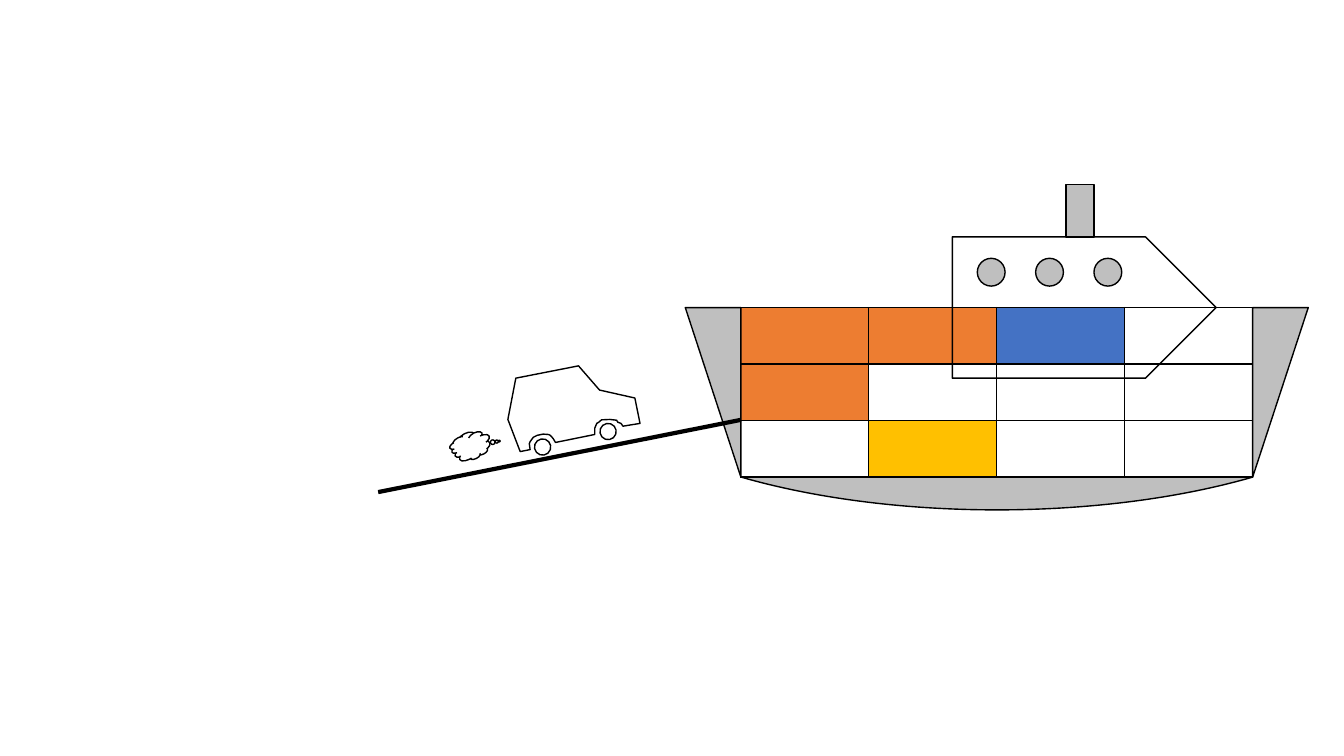
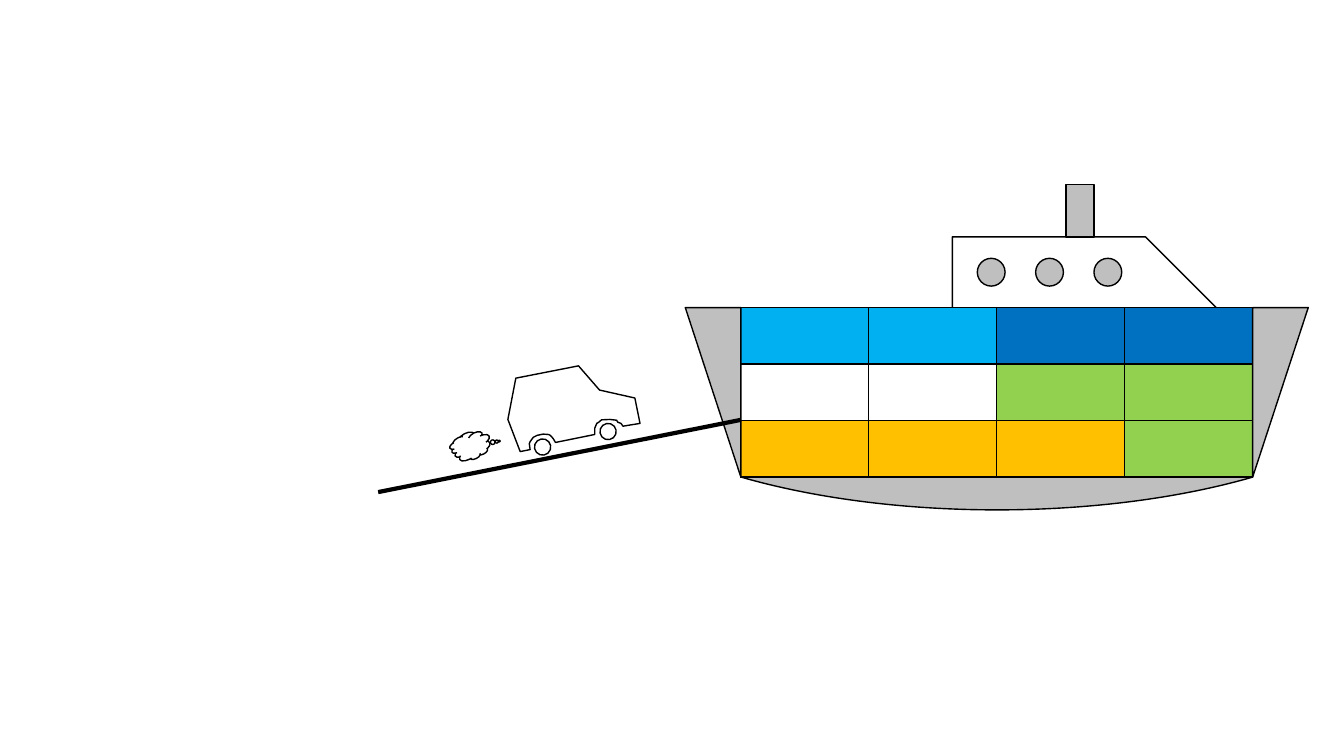
from lxml import etree
from pptx import Presentation
from pptx.dml.color import RGBColor
from pptx.enum.shapes import MSO_CONNECTOR, MSO_SHAPE
from pptx.oxml.ns import qn
from pptx.util import Cm, Pt

STRAIGHT = MSO_CONNECTOR.STRAIGHT
ELLIPSE = MSO_SHAPE.OVAL
RECTANGLE = MSO_SHAPE.RECTANGLE
PENTAGON = MSO_SHAPE.PENTAGON
TRIANGLE = MSO_SHAPE.RIGHT_TRIANGLE
CHORD = MSO_SHAPE.CHORD
CLOUD = MSO_SHAPE.CLOUD_CALLOUT

BLACK = RGBColor(0x00, 0x00, 0x00)
WHITE = RGBColor(0xFF, 0xFF, 0xFF)
GREY = RGBColor(0xBF, 0xBF, 0xBF)
ORANGE = RGBColor(0xED, 0x7D, 0x31)
BLUE = RGBColor(0x44, 0x72, 0xC4)
GOLD = RGBColor(0xFF, 0xC0, 0x00)
SKY = RGBColor(0x00, 0xB0, 0xF0)
DEEP_BLUE = RGBColor(0x00, 0x70, 0xC0)
GREEN = RGBColor(0x92, 0xD0, 0x50)

SLIDES = [
    {
        "cabin_behind": False,
        "cargo": [
            [ORANGE, ORANGE, BLUE, WHITE],
            [ORANGE, WHITE, WHITE, WHITE],
            [WHITE, GOLD, WHITE, WHITE],
        ],
    },
    {
        "cabin_behind": True,
        "cargo": [
            [SKY, SKY, DEEP_BLUE, DEEP_BLUE],
            [WHITE, WHITE, GREEN, GREEN],
            [GOLD, GOLD, GOLD, GREEN],
        ],
    },
]

HOLD_LEFT, HOLD_TOP, HOLD_WIDTH, HOLD_HEIGHT = 18.67, 7.75, 12.9, 4.27
BOW_WIDTH = 1.4
CABIN = (24, 5.97, 6.65, 3.56)
KEEL = (14.43, 4.67, 21.39, 8.18)
KEEL_ANGLES = (16.111, 91.842)
FUNNEL = (26.87, 4.65, 0.7, 1.32)
PORTHOLE_LEFT, PORTHOLE_TOP, PORTHOLE_SIZE, PORTHOLE_STEP = 24.63, 6.51, 0.7, 1.47
PORTHOLE_COUNT = 3

REAR_ARCH = [
    (13.36, 11.33), (13.34, 11.18), (13.36, 11.13), (13.44, 11.02), (13.54, 10.97),
    (13.69, 10.94), (13.82, 10.95), (13.87, 10.97), (13.94, 11.05), (14, 11.15),
]
FRONT_ARCH = [
    (14.99, 10.95), (14.99, 10.79), (15.04, 10.67), (15.09, 10.64), (15.16, 10.58),
    (15.37, 10.57), (15.54, 10.59), (15.57, 10.64), (15.65, 10.67), (15.7, 10.74),
]
BODY = [(16.13, 10.67), (16, 10.03), (15.11, 9.83), (14.58, 9.22), (13, 9.53), (12.8, 10.57)]
CAR_OUTLINE = [(13.11, 11.38)] + REAR_ARCH + FRONT_ARCH + BODY
WHEELS = [(13.47, 11.06), (15.12, 10.67)]
WHEEL_SIZE = 0.41
CAR_TILT = 349.1
RAMP = (18.67, 10.58, 9.53, 12.4)
SMOKE = (11.53, 10.72, 0.69, 1.02)
SMOKE_TAIL = (-0.323, 0.67)
SMOKE_TILT = 242.7


def style(shape, fill=None):
    shape.shadow.inherit = False
    if fill is None:
        shape.fill.background()
    else:
        shape.fill.solid()
        shape.fill.fore_color.rgb = fill
    shape.line.color.rgb = BLACK
    shape.line.width = Pt(1)


def add_part(shapes, preset, place, fill=None, tilt=0, adjustments=()):
    shape = shapes.add_shape(preset, *map(Cm, place))
    for index, value in enumerate(adjustments):
        shape.adjustments[index] = value
    shape.rotation = tilt
    style(shape, fill)
    return shape


def add_borders(cell):
    properties = cell._tc.get_or_add_tcPr()
    for side in ("a:lnL", "a:lnR", "a:lnT", "a:lnB"):
        border = etree.SubElement(properties, qn(side), w=str(Pt(1)))
        fill = etree.SubElement(border, qn("a:solidFill"))
        etree.SubElement(fill, qn("a:srgbClr"), val=str(BLACK))


def add_hold(slide, cargo):
    place = map(Cm, (HOLD_LEFT, HOLD_TOP, HOLD_WIDTH, HOLD_HEIGHT))
    table = slide.shapes.add_table(len(cargo), len(cargo[0]), *place).table
    table.first_row = False
    table.horz_banding = False
    for row, colors in enumerate(cargo):
        for column, color in enumerate(colors):
            cell = table.cell(row, column)
            add_borders(cell)
            cell.fill.solid()
            cell.fill.fore_color.rgb = color


def add_cabin(shapes):
    add_part(shapes, PENTAGON, CABIN)


def add_fittings(shapes):
    for index in range(PORTHOLE_COUNT):
        left = PORTHOLE_LEFT + index * PORTHOLE_STEP
        add_part(shapes, ELLIPSE, (left, PORTHOLE_TOP, PORTHOLE_SIZE, PORTHOLE_SIZE), GREY)
    for left in (HOLD_LEFT - BOW_WIDTH, HOLD_LEFT + HOLD_WIDTH):
        end = add_part(shapes, TRIANGLE, (left, HOLD_TOP, BOW_WIDTH, HOLD_HEIGHT), GREY, 180)
        if left > HOLD_LEFT:
            end._element.spPr.find(qn("a:xfrm")).set("flipH", "1")
    add_part(shapes, CHORD, KEEL, GREY, adjustments=KEEL_ANGLES)
    add_part(shapes, RECTANGLE, FUNNEL, GREY)


def add_car(shapes):
    points = [(Cm(x), Cm(y)) for x, y in CAR_OUTLINE]
    builder = shapes.build_freeform(*points[0])
    builder.add_line_segments(points[1:], close=True)
    style(builder.convert_to_shape())
    for left, top in WHEELS:
        add_part(shapes, ELLIPSE, (left, top, WHEEL_SIZE, WHEEL_SIZE), tilt=CAR_TILT)
    ramp = shapes.add_connector(STRAIGHT, *map(Cm, RAMP))
    ramp.line.color.rgb = BLACK
    ramp.line.width = Pt(3)
    etree.SubElement(ramp._element.spPr, qn("a:effectLst"))
    add_part(shapes, CLOUD, SMOKE, tilt=SMOKE_TILT, adjustments=SMOKE_TAIL)


def add_scene(slide, cargo, cabin_behind):
    if cabin_behind:
        add_cabin(slide.shapes)
    add_hold(slide, cargo)
    ship = slide.shapes.add_group_shape().shapes
    if not cabin_behind:
        add_cabin(ship)
    add_fittings(ship)
    add_car(slide.shapes.add_group_shape().shapes)


def main():
    deck = Presentation()
    deck.slide_width = Cm(33.87)
    deck.slide_height = Cm(19.05)
    for scene in SLIDES:
        slide = deck.slides.add_slide(deck.slide_layouts[6])
        add_scene(slide, **scene)
    deck.save("out.pptx")


if __name__ == "__main__":
    main()
